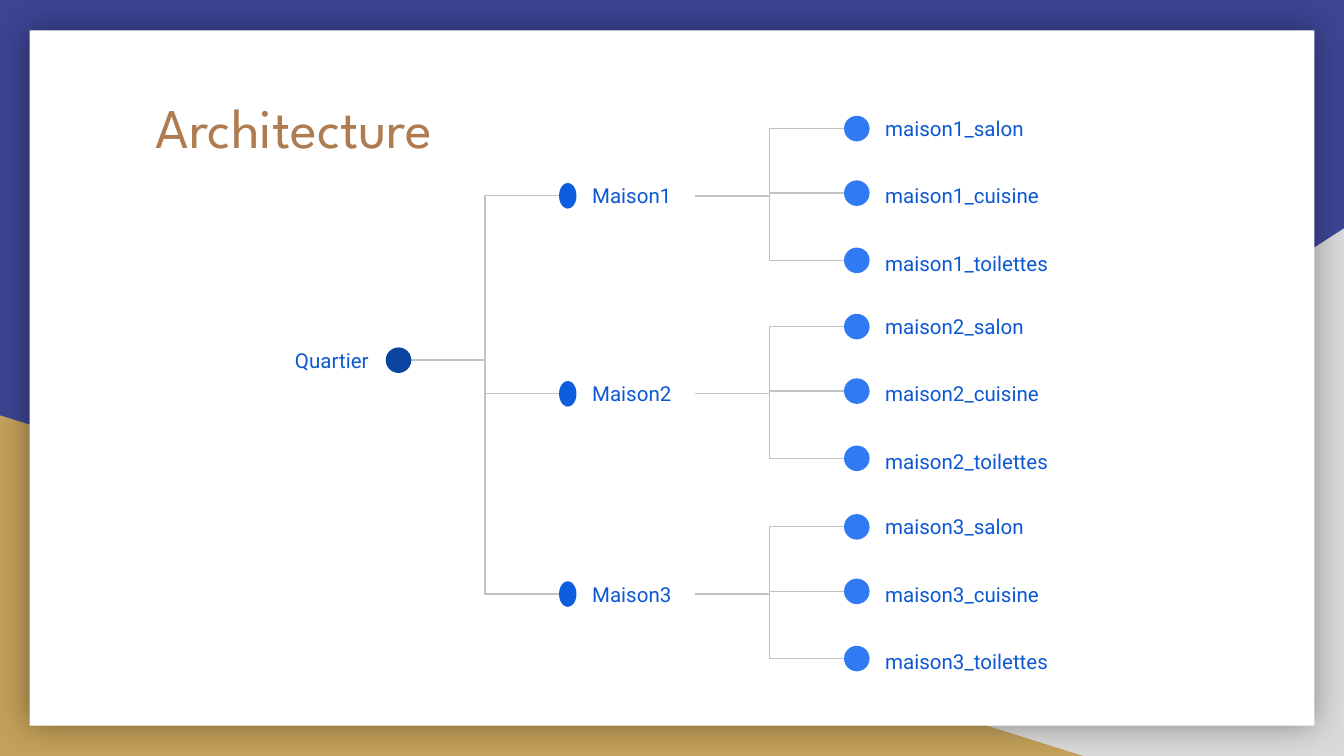
"""Build a slide with the tree of a district, its houses and their rooms."""
from lxml import etree
from pptx import Presentation
from pptx.dml.color import RGBColor
from pptx.enum.shapes import MSO_CONNECTOR as Connector, MSO_SHAPE as Shape
from pptx.enum.text import MSO_ANCHOR as Anchor, MSO_AUTO_SIZE as AutoSize, PP_ALIGN as Align
from pptx.oxml import parse_xml
from pptx.oxml.ns import nsdecls, qn
from pptx.util import Inches, Pt

COLORS = {
    "background": "3D4594", "gray": "D9D9D9", "gold": "C4A15A", "card": "FFFFFF",
    "line": "C2C2C2", "title": "AF7B51", "label": "0C58D3",
    "district": "0944A1", "house": "0D5DDF", "room": "307BF3",
}
COLUMNS, ROWS = 100, 56.25
CELL = Inches(10) / COLUMNS
LABEL_HEIGHT, DOT_HEIGHT = 3.5, 1.9


def add_box(shapes, kind, left, top, width, height, fill=None):
    shape = shapes.add_shape(kind, *(round(n * CELL) for n in (left, top, width, height)))
    shape.shadow.inherit = False
    shape.line.fill.background()
    if fill:
        shape.fill.solid()
        shape.fill.fore_color.rgb = RGBColor.from_string(COLORS[fill])
    else:
        shape.fill.background()
    return shape


def write(shape, text, *, size, font, color, align=Align.LEFT, anchor=Anchor.MIDDLE):
    frame = shape.text_frame
    frame.text = text
    frame.word_wrap = True
    frame.auto_size = AutoSize.NONE
    frame.vertical_anchor = anchor
    frame.margin_left = frame.margin_right = frame.margin_top = frame.margin_bottom = Inches(0.1)
    paragraph = frame.paragraphs[0]
    paragraph.alignment = align
    run = paragraph.runs[0]
    run.font.size = Pt(size)
    run.font.name = font
    run.font.color.rgb = RGBColor.from_string(COLORS[color])


presentation = Presentation()
presentation.slide_width = round(COLUMNS * CELL)
presentation.slide_height = round(ROWS * CELL)
slide = presentation.slides.add_slide(presentation.slide_layouts[5])
shapes = slide.shapes
slide.background.fill.solid()
slide.background.fill.fore_color.rgb = RGBColor.from_string(COLORS["background"])

gray_corner = add_box(shapes, Shape.RIGHT_TRIANGLE, 39.2, 17, 60.8, 39.25, "gray")
gray_corner._element.spPr.find(qn("a:xfrm")).set("flipH", "1")
add_box(shapes, Shape.RIGHT_TRIANGLE, 0, 30.9, 80.6, 25.35, "gold")
card = add_box(shapes, Shape.RECTANGLE, 2.2, 2.25, 95.6, 51.75, "card")
card._element.spPr.find(qn("a:effectLst")).append(parse_xml(
    f'<a:outerShdw {nsdecls("a")} blurRad="{Pt(18)}" dist="0" dir="0" algn="ctr" rotWithShape="0">'
    '<a:srgbClr val="000000"><a:alpha val="40000"/></a:srgbClr></a:outerShdw>'))

title = shapes.title
shapes._spTree.append(title._element)
title.left, title.top, title.width, title.height = (round(n * CELL) for n in (10.6, 5.9, 25.4, 10.4))
write(title, "Architecture", size=30, font="League Spartan", color="title", anchor=Anchor.TOP)

district_row = 26.8
house_rows = [14.57, 29.3, 44.2]
room_names = ["salon", "cuisine", "toilettes"]
room_offsets = [-5, 0, 5]
dot_offsets = [-5, -0.2, 4.8]

nodes = [("Quartier", "district", 15.7, 12.9, district_row, 28.7, 1.9, district_row, Align.RIGHT)]
links = []
for number, house_row in enumerate(house_rows, start=1):
    nodes.append((f"Maison{number}", "house", 42.9, 8.8, house_row, 41.6, 1.3, house_row, Align.LEFT))
    links.append((30.6, district_row, 41.6, house_row))
    for name, offset, dot_offset in zip(room_names, room_offsets, dot_offsets):
        dot_row = house_row + dot_offset
        nodes.append((f"maison{number}_{name}", "room", 64.7, 14.9, house_row + offset,
                      62.8, 1.9, dot_row, Align.LEFT))
        links.append((51.7, house_row, 62.8, dot_row))

for link in links:
    connector = shapes.add_connector(Connector.ELBOW, *(round(n * CELL) for n in link))
    connector.line.color.rgb = RGBColor.from_string(COLORS["line"])
    connector.line.width = Pt(0.75)
    etree.SubElement(connector._element.spPr, qn("a:effectLst"))

for text, level, left, width, row, dot_left, dot_width, dot_row, align in nodes:
    node = shapes.add_group_shape().shapes
    label = add_box(node, Shape.ROUNDED_RECTANGLE, left, row - LABEL_HEIGHT / 2, width, LABEL_HEIGHT)
    write(label, text, size=11, font="Roboto", color="label", align=align)
    add_box(node, Shape.OVAL, dot_left, dot_row - DOT_HEIGHT / 2, dot_width, DOT_HEIGHT, level)

presentation.save("out.pptx")
